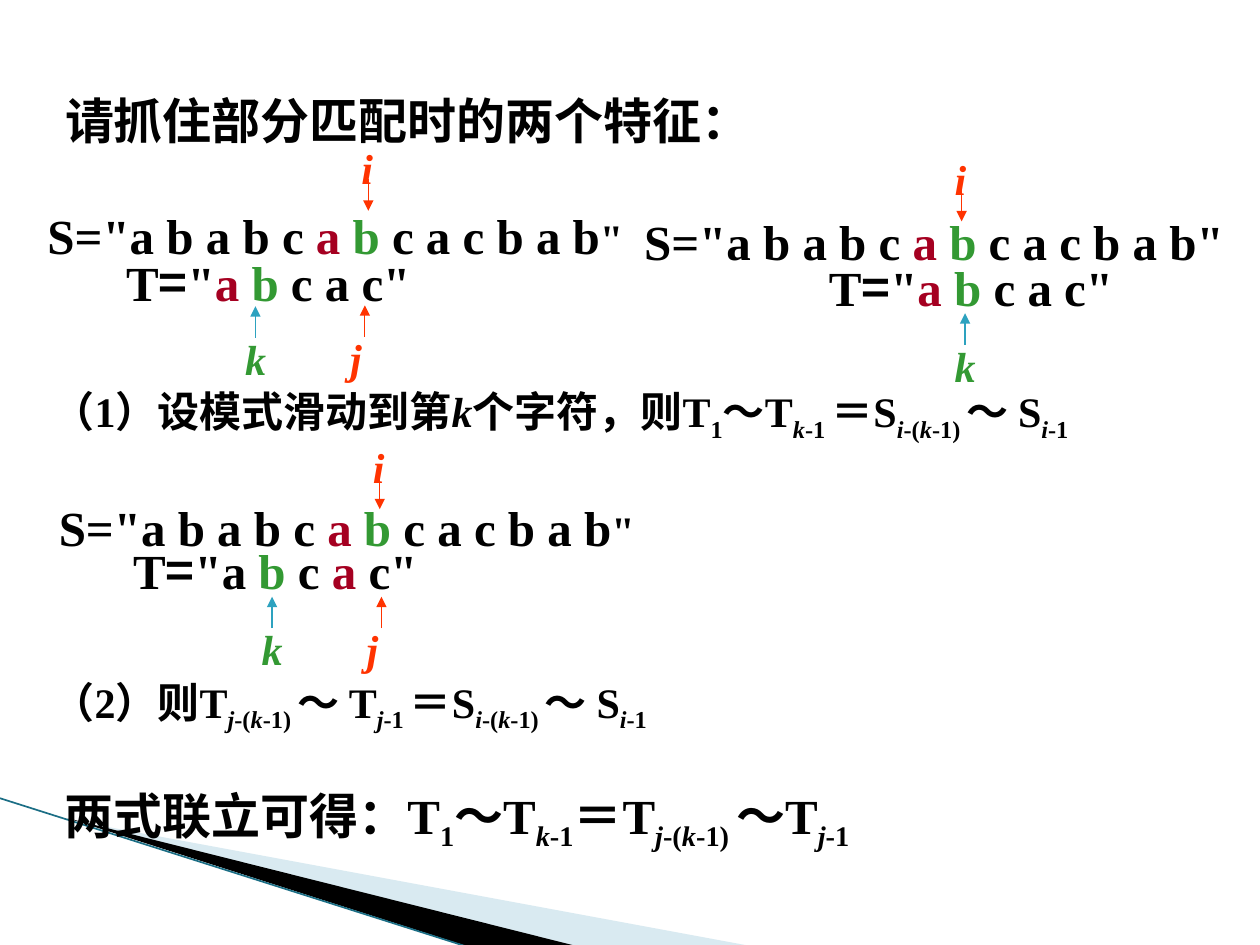
from pptx import Presentation
from pptx.util import Pt
from pptx.dml.color import RGBColor
from pptx.enum.shapes import MSO_CONNECTOR
from pptx.enum.text import MSO_ANCHOR, PP_ALIGN
from pptx.oxml.ns import qn
from lxml.etree import SubElement

COLORS = {"black": "000000", "red": "A50021", "green": "339933",
          "orange": "FF3300", "blue": "2DA2BF", "pale": "A0CBDC",
          "edge": "1B6E85"}
SERIF, SANS = "Times New Roman", "Noto Sans CJK SC"
CODES = {"r": "red", "g": "green", "o": "orange"}

prs = Presentation()
prs.slide_width, prs.slide_height = Pt(720), Pt(540)
s = prs.slides.add_slide(prs.slide_layouts[5])


def write(sp, box, size, markup, spacing=1.0):
    """Runs are split by |, each is style:text with the style letters
    i italic, s subscript, n sans, q small quote, r/g/o colour."""
    sp.left, sp.top, sp.width, sp.height = [Pt(v) for v in box]
    tf = sp.text_frame
    tf.word_wrap = True
    tf.vertical_anchor = MSO_ANCHOR.TOP
    p = tf.paragraphs[0]
    p.alignment, p.line_spacing = PP_ALIGN.LEFT, spacing
    for part in markup.split("|"):
        style, _, text = part.partition(":")
        r = p.add_run()
        r.text = text
        color = next((CODES[c] for c in style if c in CODES), "black")
        fmt = {"name": SANS if "n" in style else SERIF, "bold": True,
               "italic": "i" in style, "size": Pt(24 if "q" in style else size)}
        for key, value in fmt.items():
            setattr(r.font, key, value)
        r.font.color.rgb = RGBColor.from_string(COLORS[color])
        rPr = r.font._element
        SubElement(rPr, qn("a:ea")).set("typeface", SANS)
        if "s" in style:
            rPr.set("baseline", "-25000")


def add_line(x1, y1, x2, y2, color, width, arrow=True):
    c = s.shapes.add_connector(MSO_CONNECTOR.STRAIGHT, Pt(x1), Pt(y1), Pt(x2), Pt(y2))
    c.line.color.rgb = RGBColor.from_string(COLORS[color])
    c.line.width = Pt(width)
    if arrow:
        SubElement(c.line._get_or_add_ln(), qn("a:tailEnd")).set("type", "triangle")
    SubElement(c._element.spPr, qn("a:effectLst"))


# Corner decoration, behind the text
wedges = [("pale", [(39.6, 468.5), (428.5, 540.5), (328.5, 540.5)]),
          ("black", [(38.5, 467.5), (329, 540.5), (268, 541)])]
for color, points in wedges:
    fb = s.shapes.build_freeform(Pt(points[0][0]), Pt(points[0][1]))
    fb.add_line_segments([(Pt(x), Pt(y)) for x, y in points[1:]], close=True)
    sp = fb.convert_to_shape()
    sp.shadow.inherit = False
    sp.fill.solid()
    sp.fill.fore_color.rgb = RGBColor.from_string(COLORS[color])
    sp.line.fill.background()
    if color == "pale":
        clr = sp._element.spPr.find(qn("a:solidFill"))[0]
        SubElement(clr, qn("a:alpha")).set("val", "40000")
add_line(-0.5, 456, 267, 541, "edge", 0.95, arrow=False)

# Title
write(s.shapes.title, (30, 48, 600, 41), 28, ":请抓住部分匹配时的两个特征：")

# Statements
statements = [
    ((23, 217, 650, 36), 24, 1.0,
     ":（1）设模式滑动到第|i:k|:个字符，则T|s:1|:～T|is:k|s:-1 |:＝S|is:i|s:-("
     "|is:k|s:-1) |:～ S|is:i|s:-1"),
    ((23, 383, 606, 36), 24, 1.0,
     ":（2）则T|is:j|s:-(|is:k|s:-1) |:～ T|is:j|s:-1 |:＝S|is:i|s:-("
     "|is:k|s:-1) |:～ S|is:i|s:-1"),
    ((30, 443.5, 666, 42), 28, 1.05,
     ":两式联立可得：T|s:1|:～T|is:k|s:-1|:＝T|is:j|s:-(|is:k|s:-1) |:～T|is:j|s:-1"),
]
for box, size, spacing, markup in statements:
    write(s.shapes.add_textbox(0, 0, 0, 0), box, size, markup, spacing)

# Matching diagrams: strings S and T as (left, top, width, markup)
S_HEAD = ':S="a b a b c |r:a |g:b |:c a c b a b'
T_HEAD = ':T|n:=|:"'
T_PREFIX = T_HEAD + '|r:a |g:b |:c a c"'
strings = [
    (20, 114, 348, S_HEAD + '|q:"'), (65, 140.5, 191, T_PREFIX),
    (361, 117.5, 365, S_HEAD + '"'), (466.5, 143.5, 184, T_PREFIX),
    (26.5, 281, 348, S_HEAD + '|q:"'),
    (69, 305.5, 192, T_HEAD + 'a |g:b |:c |r:a|: c"'),
]
for x, y, w, markup in strings:
    write(s.shapes.add_textbox(0, 0, 0, 0), (x, y, w, 41), 28, markup)

# Index markers: text style, arrow colour, arrow x, start and end offsets
kinds = {"i": ("io", "orange", 11, 24.5, 42.5),
         "j": ("io", "orange", 15.5, 6, -12),
         "k": ("ig", "blue", 13, 6, -12)}
markers = [("i", 199.5, 78), ("k", 133, 187), ("j", 193, 186.5),
           ("i", 538.5, 84), ("k", 538.5, 191),
           ("i", 206, 248.5), ("j", 202.5, 353), ("k", 142.5, 353)]
for name, x, y in markers:
    style, color, dx, start, end = kinds[name]
    write(s.shapes.add_textbox(0, 0, 0, 0), (x, y, 25, 29), 24, f"{style}:{name}")
    add_line(x + dx, y + start, x + dx, y + end, color, 0.75)

prs.save("out.pptx")
